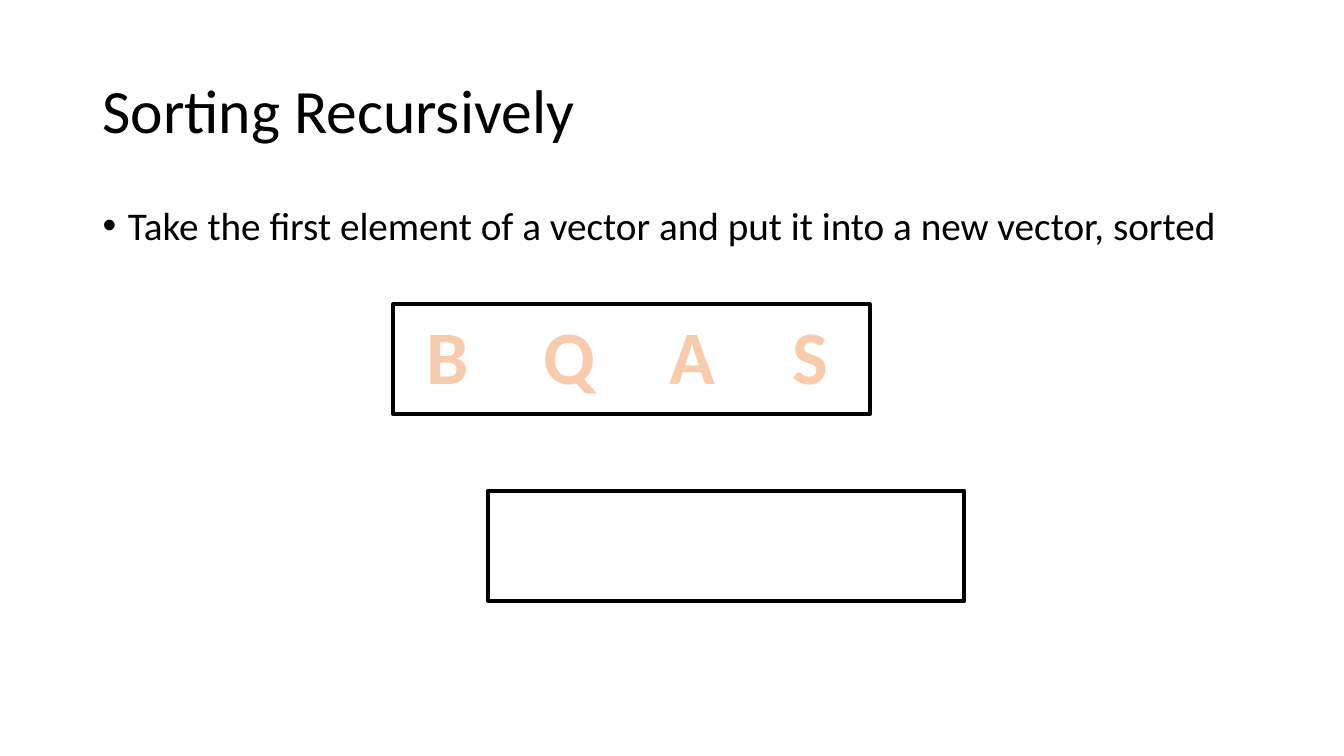
"""Build the "Sorting Recursively" slide with two vectors."""
import pptx
import pptx.util
import pptx.dml.color
import pptx.enum.shapes
import pptx.enum.text
import pptx.oxml
import pptx.oxml.ns

Cm, Pt = pptx.util.Cm, pptx.util.Pt
BLACK = pptx.dml.color.RGBColor(0x00, 0x00, 0x00)
PEACH = pptx.dml.color.RGBColor(0xF8, 0xCB, 0xAD)
ORANGE = pptx.dml.color.RGBColor(0xED, 0x7D, 0x31)
ALIGN = pptx.enum.text.PP_ALIGN
ANCHOR = pptx.enum.text.MSO_ANCHOR
AUTO_SIZE = pptx.enum.text.MSO_AUTO_SIZE


def place(shape, left, top, width, height):
    box = {"left": left, "top": top, "width": width, "height": height}
    for name, value in box.items():
        setattr(shape, name, Cm(value))


def write(shape, text, font_format, paragraph_format):
    paragraph = shape.text_frame.paragraphs[0]
    run = paragraph.add_run()
    run.text = text
    run.font.color.rgb = font_format["color"]
    for name in ("size", "bold"):
        setattr(run.font, name, font_format[name])
    run.font.name = "Calibri"
    for name, value in paragraph_format.items():
        setattr(paragraph, name, value)
    return paragraph, run


presentation = pptx.Presentation()
presentation.slide_width, presentation.slide_height = Cm(33.87), Cm(19.05)
slide = presentation.slides.add_slide(presentation.slide_layouts[1])

title = slide.shapes.title
place(title, 2.33, 1.02, 29.21, 3.68)
title.text_frame.auto_size = AUTO_SIZE.NONE
title.text_frame.vertical_anchor = ANCHOR.MIDDLE
write(title, "Sorting Recursively",
      {"color": BLACK, "size": Pt(44), "bold": False},
      {"alignment": ALIGN.LEFT, "line_spacing": 0.9})

body = slide.placeholders[1]
place(body, 2.33, 5.08, 29.21, 1.42)
body.text_frame.auto_size = AUTO_SIZE.NONE
paragraph, run = write(
    body, "Take the first element of a vector and put it into a new vector, sorted",
    {"color": BLACK, "size": Pt(28), "bold": False},
    {"line_spacing": 0.9, "space_before": Pt(10)})
properties = paragraph._p.get_or_add_pPr()
properties.set("marL", str(Cm(0.64)))
properties.set("indent", str(Cm(-0.64)))

VECTOR_TOP = 7.67
LETTERS = [("B", 10.49, 1.6), ("Q", 13.44, 1.83), ("A", 16.61, 1.68), ("S", 19.71, 1.42)]
for letter, left, width in LETTERS:
    element = slide.shapes.add_textbox(0, 0, 0, 0)
    place(element, left, VECTOR_TOP, width, 2.56)
    element.text_frame.word_wrap = False
    element.text_frame.auto_size = AUTO_SIZE.SHAPE_TO_FIT_TEXT
    paragraph, run = write(element, letter,
                           {"color": PEACH, "size": Pt(54), "bold": True},
                           {"alignment": ALIGN.CENTER})
    outline = pptx.oxml.parse_xml(
        f'<a:ln {pptx.oxml.ns.nsdecls("a")} w="{Pt(1.75)}"><a:solidFill>'
        f'<a:srgbClr val="{ORANGE}"/></a:solidFill><a:prstDash val="solid"/></a:ln>')
    run.font._element.insert(0, outline)

for left, top in [(9.91, VECTOR_TOP), (12.29, 12.37)]:
    vector = slide.shapes.add_shape(pptx.enum.shapes.MSO_SHAPE.RECTANGLE, 0, 0, 0, 0)
    place(vector, left, top, 12.01, 2.77)
    vector.shadow.inherit = False
    vector.fill.background()
    vector.line.color.rgb = BLACK
    vector.line.width = Pt(3)

presentation.save("out.pptx")
